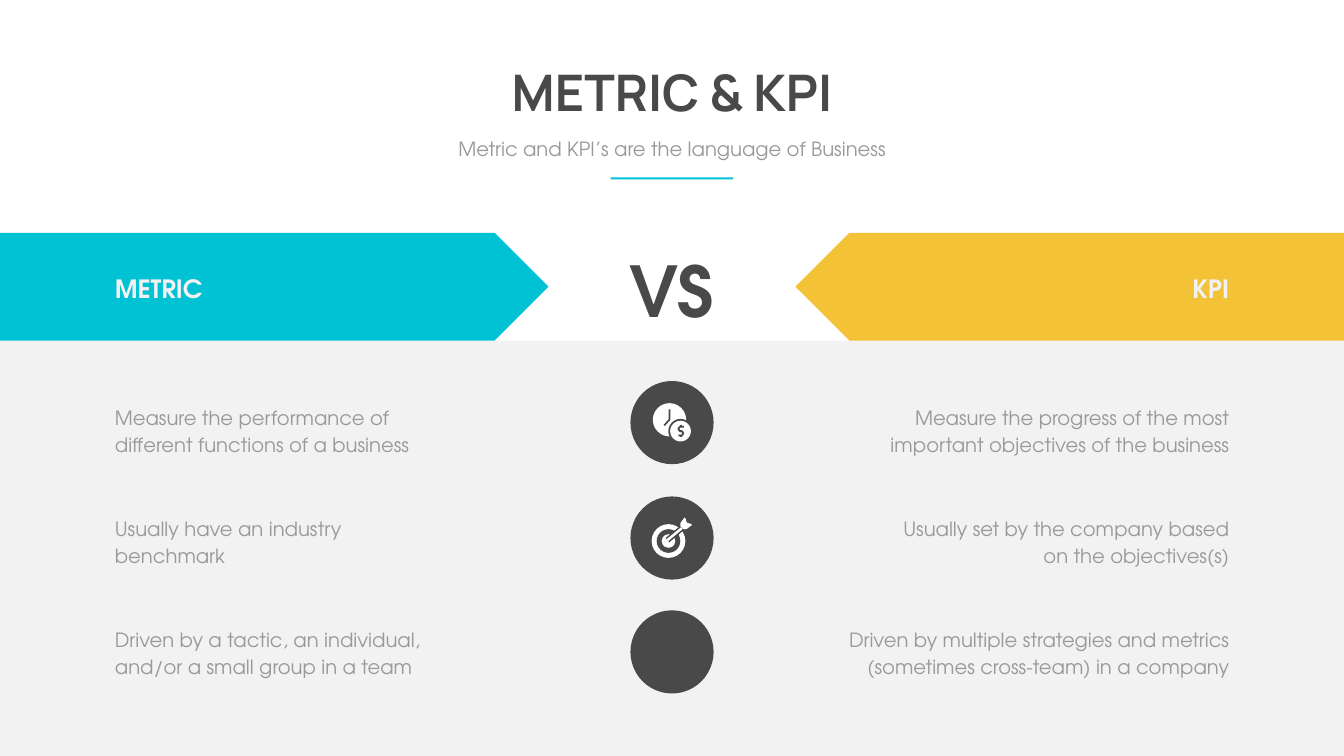
from dataclasses import dataclass

from lxml.etree import SubElement
from pptx import Presentation
from pptx.dml.color import RGBColor
from pptx.enum.shapes import MSO_CONNECTOR, MSO_SHAPE as Kind
from pptx.enum.text import MSO_AUTO_SIZE as Fit, PP_ALIGN as Align
from pptx.oxml.ns import qn
from pptx.util import Pt


@dataclass(frozen=True)
class Theme:
    dark: str = "494949"
    gray: str = "999999"
    pale: str = "F2F2F2"
    white: str = "FFFFFF"
    teal: str = "01C1D4"
    gold: str = "F3C236"
    head: str = "Manrope"
    body: str = "TeX Gyre Adventor"
    title: int = 72
    versus: int = 100
    label: int = 36
    text: int = 28
    lead: float = 38.6


T = Theme()
WIDE, HIGH = 1919.52, 1080
MID = WIDE / 2

TITLE = "METRIC & KPI"
SUB = "Metric and KPI’s are the language of Business"
LEFT, RIGHT = "METRIC", "KPI"
# left text, right text, width of the right text
ROWS = [
    ("Measure the performance of different functions of a business",
     "Measure the progress of the most important objectives of the business", 512),
    ("Usually have an industry benchmark",
     "Usually set by the company based on the objectives(s)", 481.7),
    ("Driven by a tactic, an individual, and/or a small group in a team",
     "Driven by multiple strategies and metrics (sometimes cross-team) in a company",
     595.4),
]

BAND_Y, BAND_W, BAND_H = 332.6, 783.4, 154
EDGE = 157
ROW_Y, ROW_STEP, ROW_H, ROW_W = 571.7, 158.4, 82.8, 458
DISC_R = 59.4
DISC_Y = [603.7, 768.6, 931.3]

# Icon parts are offsets from the centre of their disc
CLOCK = (-3.6, -4)
COIN = (12.2, 12.2)
HANDS = [(-3.6, -19), (-3.6, -4.3), (-11, 4)]
DOLLAR = [(16.9, 6.1), (11.2, 6.1), (9, 9), (11.2, 12.2),
          (14, 12.2), (16.2, 15.5), (14, 18.4), (9, 18.4)]
STEMS = [((12.6, 3.2), (12.6, 6.1)), ((12.6, 18.4), (12.6, 21.2))]
TARGET = (-5, 4.3)
RINGS = [(24.1, T.white), (16.9, T.dark), (9.7, T.white)]
SHAFT = ((-6.5, 3), (14, -14))
FIN = [(11.9, -16.9), (11.9, -21.2), (17.8, -29.2), (19.2, -28.4), (21.2, -22),
       (27.8, -19.8), (28.4, -18.4), (20.5, -12.6), (16.2, -12.6)]

deck = Presentation()
deck.slide_width, deck.slide_height = Pt(WIDE), Pt(HIGH)
slide = deck.slides.add_slide(deck.slide_layouts[6])
shapes = slide.shapes


def paint(form, color):
    form.shadow.inherit = False
    form.fill.solid()
    form.fill.fore_color.rgb = RGBColor.from_string(color)
    form.line.fill.background()


def block(kind, x, y, w, h, color):
    form = shapes.add_shape(kind, Pt(x), Pt(y), Pt(w), Pt(h))
    paint(form, color)
    return form


def disc(x, y, r, color):
    block(Kind.OVAL, x - r, y - r, 2 * r, 2 * r, color)


def write(words, x, y, w, h, size, color, align=Align.LEFT,
          font=T.body, bold=False, lead=None, wrap=True):
    frame = shapes.add_textbox(Pt(x), Pt(y), Pt(w), Pt(h)).text_frame
    frame.word_wrap = wrap
    frame.auto_size = Fit.SHAPE_TO_FIT_TEXT
    para = frame.paragraphs[0]
    para.text, para.alignment = words, align
    if lead:
        para.line_spacing = Pt(lead)
    para.font.name, para.font.size, para.font.bold = font, Pt(size), bold
    para.font.color.rgb = RGBColor.from_string(color)


def shift(points, x, y):
    """Move icon offsets to a disc centre and turn them into lengths."""
    return [(Pt(x + dx), Pt(y + dy)) for dx, dy in points]


def ink(form, color, width):
    form.line.color.rgb = RGBColor.from_string(color)
    form.line.width = Pt(width)


def stroke(ends, x, y, color, width):
    start, end = shift(ends, x, y)
    line = shapes.add_connector(MSO_CONNECTOR.STRAIGHT, *start, *end)
    ink(line, color, width)
    SubElement(line._element.spPr, qn("a:effectLst"))


def outline(points, x, y, close):
    first, *rest = shift(points, x, y)
    pen = shapes.build_freeform(*first)
    pen.add_line_segments(rest, close=close)
    form = pen.convert_to_shape()
    form.shadow.inherit = False
    return form


def bend(points, x, y, color, width):
    """Draw an open line with corners."""
    form = outline(points, x, y, False)
    form.fill.background()
    ink(form, color, width)


def draw_money(x, y):
    disc(x + CLOCK[0], y + CLOCK[1], 23.8, T.white)
    bend(HANDS, x, y, T.dark, 2.4)
    for r, color in ((17.5, T.dark), (14.8, T.white)):
        disc(x + COIN[0], y + COIN[1], r, color)
    bend(DOLLAR, x, y, T.dark, 2.6)
    for stem in STEMS:
        stroke(stem, x, y, T.dark, 2.4)


def draw_goal(x, y):
    for r, color in RINGS:
        disc(x + TARGET[0], y + TARGET[1], r, color)
    for color, width in ((T.dark, 8), (T.white, 3.5)):
        stroke(SHAFT, x, y, color, width)
    paint(outline(FIN, x, y, True), T.white)


# Panel and bands
floor = BAND_Y + BAND_H
block(Kind.RECTANGLE, 0, floor, WIDE, HIGH - floor, T.pale)
block(Kind.PENTAGON, WIDE - BAND_W, BAND_Y, BAND_W, BAND_H, T.gold).rotation = 180
block(Kind.PENTAGON, 0, BAND_Y, BAND_W, BAND_H, T.teal)
write("VS", MID - 87.5, 350, 175, 128, T.versus, T.dark, Align.CENTER, bold=True)
label_w = 344
for words, x, align in ((LEFT, EDGE, Align.LEFT),
                        (RIGHT, WIDE - EDGE - label_w, Align.RIGHT)):
    write(words, x, 387.4, label_w, 51, T.label, T.pale, align, bold=True)

# Heading
write(TITLE, MID - 247, 84.2, 494, 94.3, T.title, T.dark, Align.CENTER,
      font=T.head, bold=True, wrap=False)
write(SUB, MID - 344, 191.5, 688, 41, T.text, T.gray, Align.CENTER)
block(Kind.RECTANGLE, MID - 87.5, 253.4, 175, 2.9, T.teal)

# Comparison rows
for i, (left, right, width) in enumerate(ROWS):
    y = ROW_Y + i * ROW_STEP
    write(left, EDGE, y, ROW_W, ROW_H, T.text, T.gray, lead=T.lead)
    write(right, WIDE - EDGE - width, y, width, ROW_H, T.text, T.gray,
          Align.RIGHT, lead=T.lead)

for y, icon in zip(DISC_Y, (draw_money, draw_goal, None)):
    disc(MID, y, DISC_R, T.dark)
    if icon:
        icon(MID, y)

deck.save("out.pptx")
